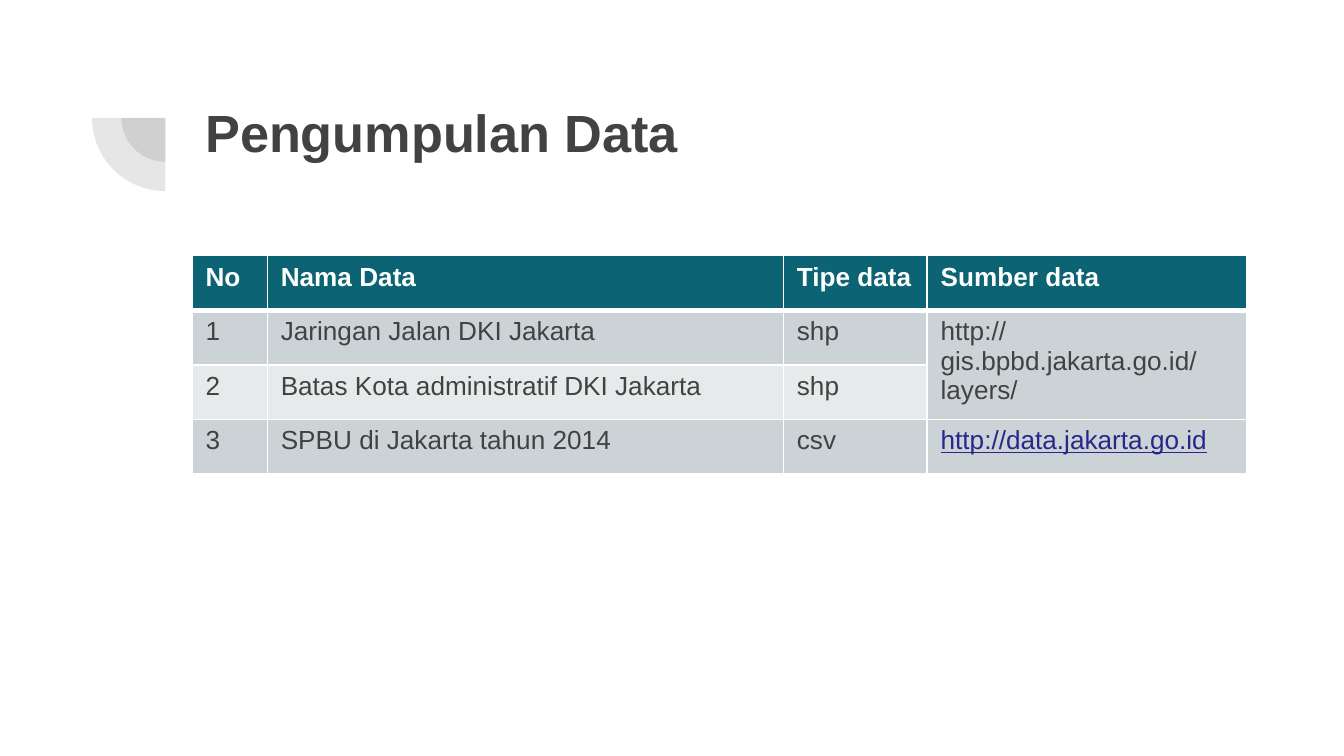
import dataclasses

import pptx
import pptx.dml.color
import pptx.enum.shapes
import pptx.enum.text
import pptx.oxml
import pptx.oxml.ns
import pptx.util

Cm = pptx.util.Cm
Pt = pptx.util.Pt


@dataclasses.dataclass(frozen=True)
class Theme:
    font: str = "Arial"
    title_size: int = 28
    table_size: int = 14
    ink: str = "424242"
    paper: str = "FFFFFF"
    header: str = "0B6374"
    bands: tuple = ("CCD3D6", "E7EAEB")
    address: str = "27278B"
    ornament_alpha: int = 13
    rule: int = 1
    header_rule: int = 3


THEME = Theme()
HEADINGS = ("No", "Nama Data", "Tipe data", "Sumber data")
DATASETS = (
    ("1", "Jaringan Jalan DKI Jakarta", "shp", "http://gis.bpbd.jakarta.go.id/layers/"),
    ("2", "Batas Kota administratif DKI Jakarta", "shp", None),
    ("3", "SPBU di Jakarta tahun 2014", "csv", "http://data.jakarta.go.id"),
)
COLUMN_SHARES = (0.56, 3.84, 1.07, 2.38)


def rgb(value):
    return pptx.dml.color.RGBColor.from_string(value)


def write(frame, text, size=THEME.table_size, color=THEME.ink, bold=False, underline=False):
    paragraph = frame.paragraphs[0]
    paragraph.alignment = pptx.enum.text.PP_ALIGN.LEFT
    run = paragraph.add_run()
    run.text = text
    font = run.font
    font.name, font.size = THEME.font, Pt(size)
    font.bold, font.underline = bold, underline
    font.color.rgb = rgb(color)


def add_ornament(slide, left, top, size):
    """Two concentric translucent quarter discs, the small one behind."""
    for share in (0.6, 1):
        side = int(size * share)
        inset = (size - side) // 2
        quarter = slide.shapes.add_shape(
            pptx.enum.shapes.MSO_SHAPE.PIE, left + inset, top + inset, side, side)
        quarter.adjustments[0], quarter.adjustments[1] = 108, 162
        quarter.rotation = 270
        quarter.shadow.inherit = False
        quarter.line.fill.background()
        quarter.fill.solid()
        quarter.fill.fore_color.rgb = rgb(THEME.ink)
        color = quarter.fill._xPr.find(".//" + pptx.oxml.ns.qn("a:srgbClr"))
        color.append(pptx.oxml.parse_xml(
            f'<a:alpha {pptx.oxml.ns.nsdecls("a")} val="{THEME.ornament_alpha * 1000}"/>'))


def add_title(slide, text, left, top, width, height):
    title = slide.shapes.title
    title.left, title.top, title.width, title.height = left, top, width, height
    frame = title.text_frame
    frame.word_wrap = True
    frame.auto_size = pptx.enum.text.MSO_AUTO_SIZE.NONE
    frame.vertical_anchor = pptx.enum.text.MSO_ANCHOR.TOP
    frame.margin_left = frame.margin_right = Cm(0.25)
    frame.margin_top = frame.margin_bottom = Cm(0.25)
    write(frame, text, size=THEME.title_size, bold=True)


def paint_cell(cell, fill, rules):
    """Fill a cell and draw its borders, given as side and width in points."""
    properties = cell._tc.get_or_add_tcPr()
    for side, width in rules.items():
        properties.append(pptx.oxml.parse_xml(
            f'<a:ln{side} {pptx.oxml.ns.nsdecls("a")} w="{Pt(width)}"><a:solidFill>'
            f'<a:srgbClr val="{THEME.paper}"/></a:solidFill></a:ln{side}>'))
    cell.fill.solid()
    cell.fill.fore_color.rgb = rgb(fill)


def add_dataset_table(slide, left, top, width, height):
    rows = (HEADINGS,) + DATASETS
    table = slide.shapes.add_table(
        len(rows), len(HEADINGS), left, top, width, height).table
    for column, share in zip(table.columns, COLUMN_SHARES):
        column.width = int(width * share / sum(COLUMN_SHARES))

    sides = {"L": THEME.rule, "R": THEME.rule}
    for r, row in enumerate(rows):
        is_header = r == 0
        if is_header:
            fill, rules = THEME.header, {**sides, "T": THEME.rule, "B": THEME.header_rule}
        else:
            fill, rules = THEME.bands[(r - 1) % 2], {**sides, "B": THEME.rule}
        for c, text in enumerate(row):
            cell = table.cell(r, c)
            paint_cell(cell, fill, rules)
            if text is None:
                table.cell(r - 1, c).merge(cell)
                continue
            is_address = text == DATASETS[-1][-1]
            color = THEME.paper if is_header else THEME.address if is_address else THEME.ink
            write(cell.text_frame, text, color=color, bold=is_header, underline=is_address)


def main():
    deck = pptx.Presentation()
    deck.slide_width, deck.slide_height = Cm(25.4), Cm(14.28)
    slide = deck.slides.add_slide(deck.slide_layouts.get_by_name("Title Only"))
    slide.background.fill.solid()
    slide.background.fill.fore_color.rgb = rgb(THEME.paper)

    add_ornament(slide, Cm(1.74), Cm(0.84), Cm(2.77))
    add_title(slide, "Pengumpulan Data", Cm(3.63), Cm(1.65), Cm(19.53), Cm(2.77))
    add_dataset_table(slide, Cm(3.63), Cm(4.83), Cm(19.94), Cm(4.12))
    deck.save("out.pptx")


if __name__ == "__main__":
    main()
